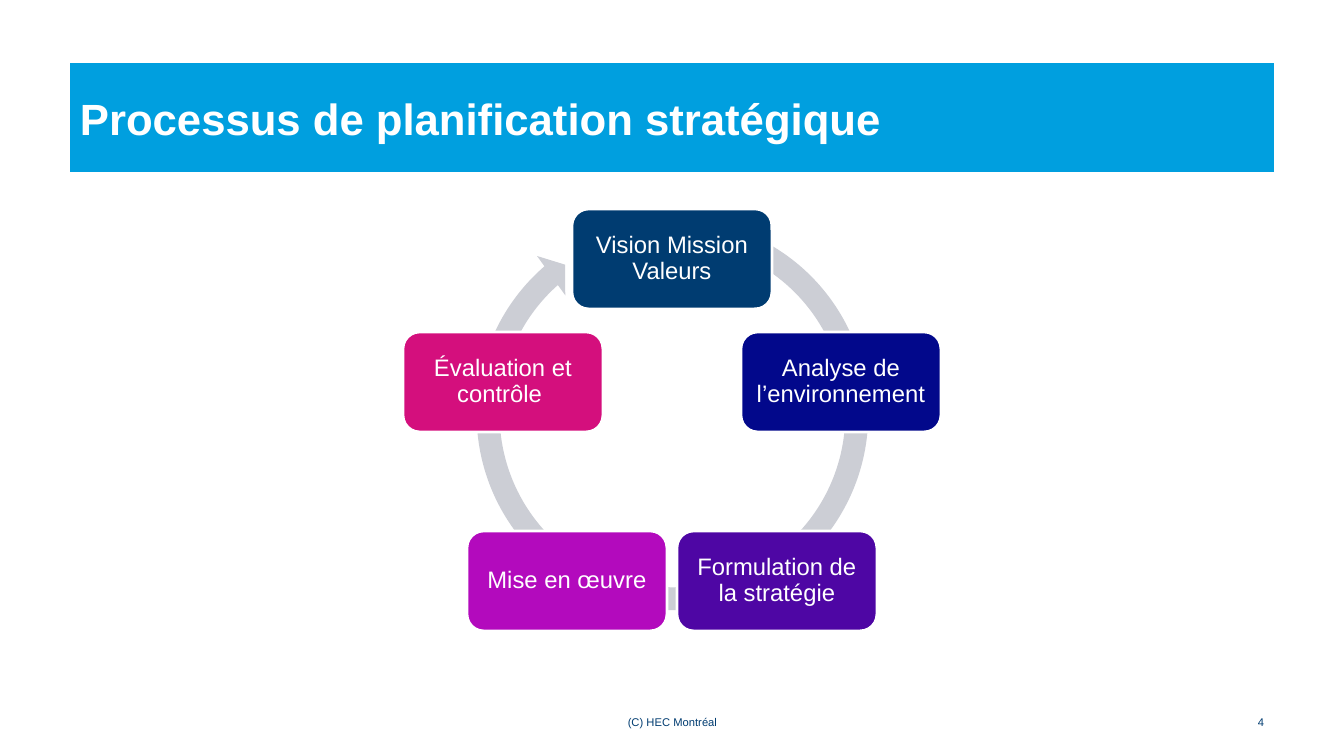
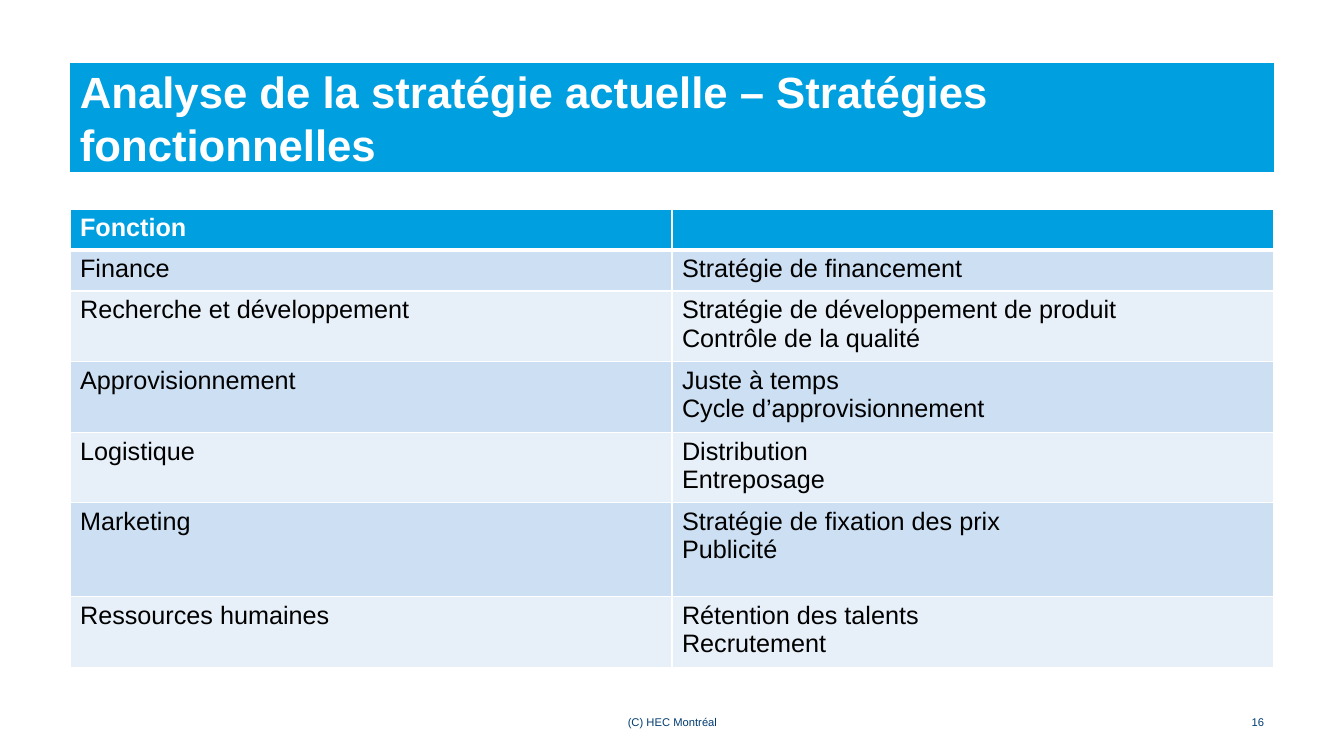
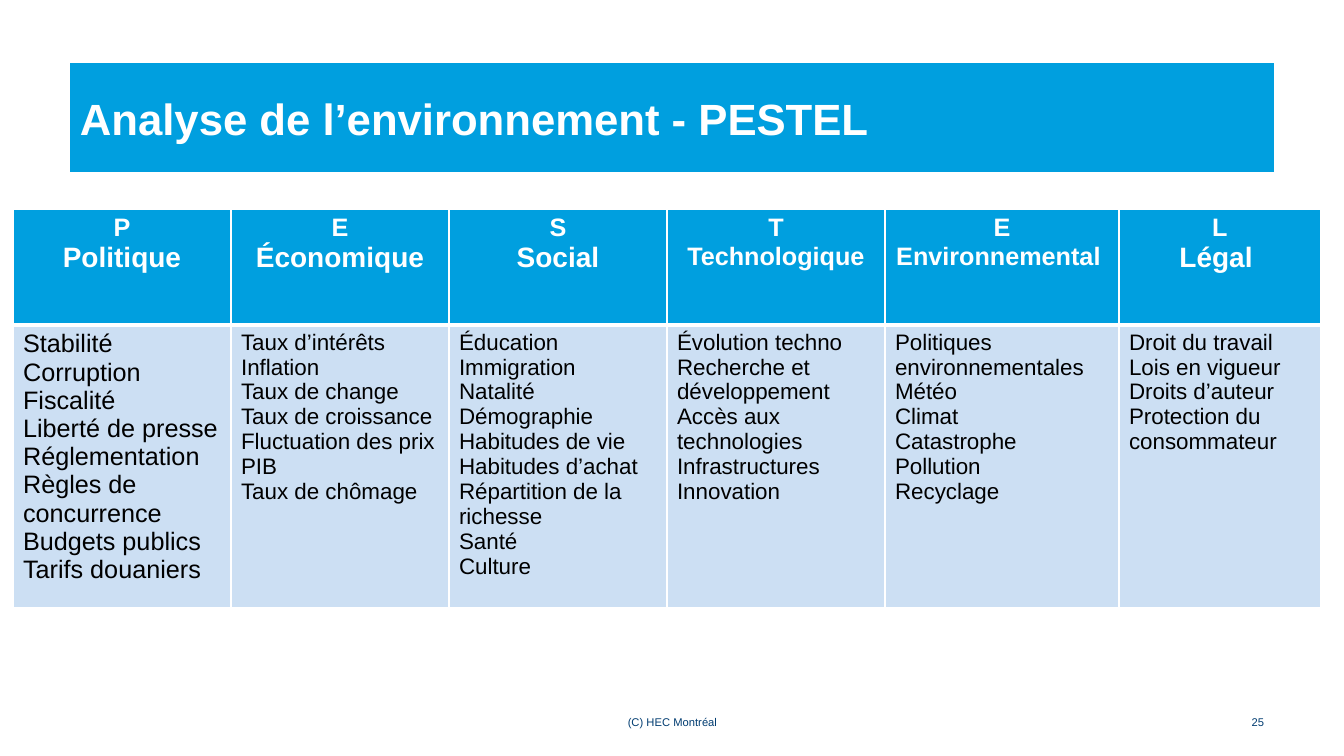
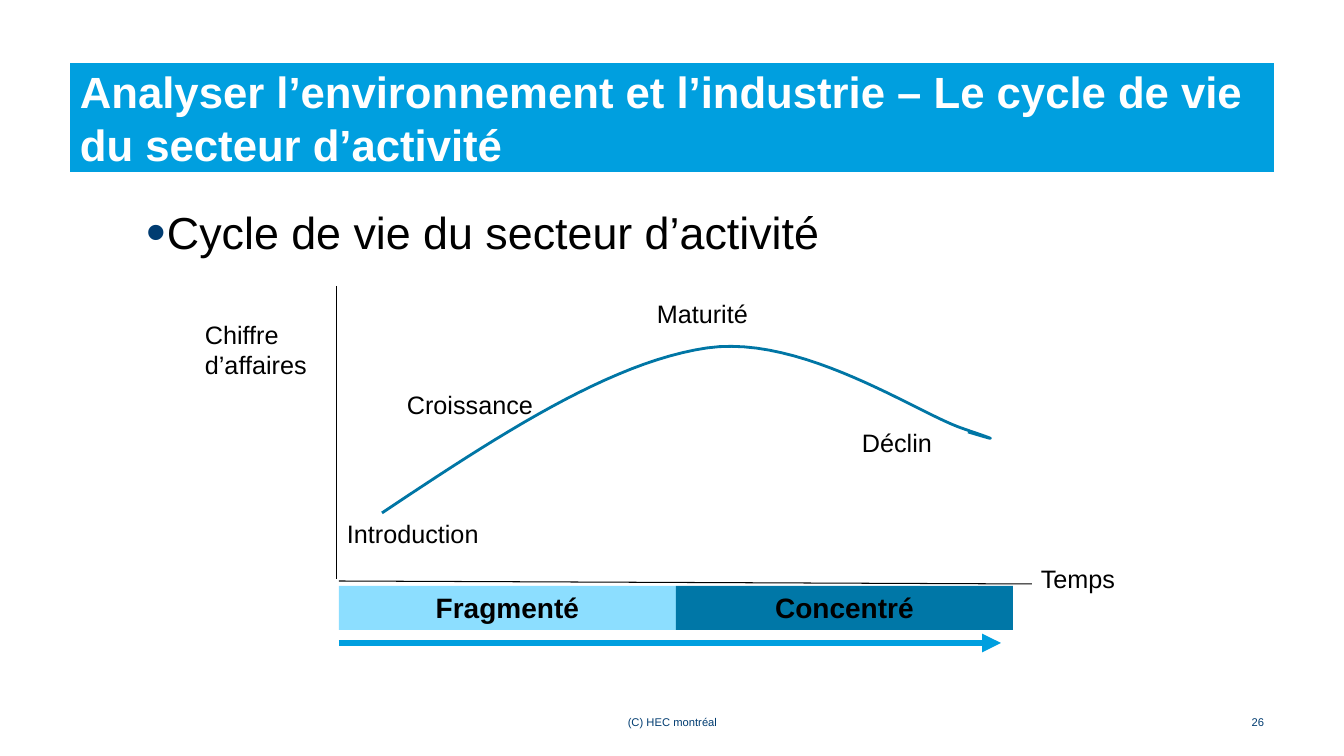
from dataclasses import dataclass
from math import cos, pi, sin
from typing import NamedTuple

from lxml.etree import SubElement
from pptx import Presentation
from pptx.dml.color import RGBColor as RGB
from pptx.enum.shapes import MSO_CONNECTOR as Conn, MSO_SHAPE as Shape
from pptx.enum.text import MSO_ANCHOR as Anchor, PP_ALIGN as Align
from pptx.oxml.ns import qn
from pptx.util import Pt

SCALE = 914400 / 100.8


@dataclass(frozen=True)
class Theme:
    font: str = "Arial"
    white: str = "FFFFFF"
    black: str = "000000"
    navy: str = "003C71"
    sky: str = "009FDF"
    ring: str = "CCCED5"
    band_dark: str = "CCDFF3"
    band_light: str = "E7F0F9"
    curve: str = "0076A5"
    fragmented: str = "8CDEFF"
    concentrated: str = "0077A7"
    title: float = 31.2
    bullet: float = 32
    large: float = 20
    text: float = 18
    step: float = 17
    small: float = 16
    footer: float = 8


T = Theme()


class Box(NamedTuple):
    x: int
    y: int
    w: int
    h: int


class Style(NamedTuple):
    size: float = T.text
    color: str = T.black
    bold: bool = False
    align: Align = Align.LEFT


class Line(NamedTuple):
    text: str
    style: Style = Style()


class Cell(NamedTuple):
    lines: list[Line]
    fill: str


class Step(NamedTuple):
    text: str
    color: str


class Factor(NamedTuple):
    letter: str
    name: str
    width: int
    items: list[str]
    name_size: float = T.large
    item_size: float = T.small


class Label(NamedTuple):
    text: str
    box: Box


class Stroke(NamedTuple):
    start: tuple[int, int]
    end: tuple[int, int]
    color: str = T.black
    width: float = 0.75
    arrow: bool = False


TITLE_BOX = Box(70, 63, 1204, 109)
FOOTER_BOX = Box(460, 713, 425, 18)
NUMBER_BOX = Box(1206, 713, 68, 18)
TITLE = Style(T.title, T.white, True)
FOOTER = Style(T.footer, T.navy, align=Align.CENTER)
NUMBER = FOOTER._replace(align=Align.RIGHT)
STEP = Style(T.step, T.white, align=Align.CENTER)
HEADER = Style(T.text, T.white, True)
PHASE = Style(T.large, T.black, True, Align.CENTER)

STEPS = [
    Step("Vision Mission Valeurs", T.navy),
    Step("Analyse de l’environnement", "02088B"),
    Step("Formulation de la stratégie", "4E06A4"),
    Step("Mise en œuvre", "B30ABD"),
    Step("Évaluation et contrôle ", "D40F7D"),
]
RING_BOX = Box(464, 206, 417, 417)
RING_ADJUSTMENTS = (0.055, 3.307, 137.312, 174.132, 0.058)
STEP_CENTER = (672, 437)
STEP_RADIUS = 178
STEP_SIZE = (200, 100)

FUNCTIONS = {
    "Finance": ["Stratégie de financement"],
    "Recherche et développement": [
        "Stratégie de développement de produit", "Contrôle de la qualité"],
    "Approvisionnement": ["Juste à temps", "Cycle d’approvisionnement"],
    "Logistique": ["Distribution", "Entreposage"],
    "Marketing": ["Stratégie de fixation des prix", "Publicité"],
    "Ressources humaines": ["Rétention des talents", "Recrutement"],
}
FUNCTION_ROWS = [41, 41, 67, 67, 67, 94, 67]

FACTORS = [
    Factor("P", "Politique", 218, [
        "Stabilité", "Corruption", "Fiscalité", "Liberté de presse",
        "Réglementation", "Règles de concurrence", "Budgets publics",
        "Tarifs douaniers"], item_size=T.text),
    Factor("E", "Économique", 218, [
        "Taux d’intérêts", "Inflation", "Taux de change",
        "Taux de croissance", "Fluctuation des prix", "PIB",
        "Taux de chômage"]),
    Factor("S", "Social", 218, [
        "Éducation", "Immigration", "Natalité", "Démographie",
        "Habitudes de vie", "Habitudes d’achat",
        "Répartition de la richesse", "Santé", "Culture"]),
    Factor("T", "Technologique", 218, [
        "Évolution techno", "Recherche et développement",
        "Accès aux technologies", "Infrastructures", "Innovation"],
        name_size=T.text),
    Factor("E", "Environnemental ", 234, [
        "Politiques environnementales", "Météo", "Climat", "Catastrophe",
        "Pollution", "Recyclage"], name_size=T.text),
    Factor("L", "Légal ", 202, [
        "Droit du travail", "Lois en vigueur", "Droits d’auteur",
        "Protection du consommateur"]),
]

LABELS = [
    Label("Chiffre d’affaires", Box(195, 314, 127, 102)),
    Label("Temps", Box(1031, 558, 199, 40)),
    Label("Introduction", Box(337, 513, 278, 40)),
    Label("Croissance", Box(397, 384, 278, 40)),
    Label("Maturité", Box(647, 293, 278, 40)),
    Label("Déclin", Box(852, 422, 278, 40)),
]
STROKES = [
    Stroke((337, 286), (337, 579)),
    Stroke((339, 581), (1032, 584)),
    Stroke((339, 643), (1001, 643), T.sky, 4.5, True),
]
PHASES = [Step("Fragmenté", T.fragmented), Step("Concentré", T.concentrated)]
CURVE = [
    (382, 513), (496, 437), (610, 362), (707, 348), (803, 334),
    (920, 415), (964, 429), (1008, 444), (988, 438), (968, 432),
]


def px(n: float) -> int:
    return round(n * SCALE)


def paint(fill, color: str) -> None:
    fill.solid()
    fill.fore_color.rgb = RGB.from_string(color)


def set_font(p, style: Style) -> None:
    p.alignment = style.align
    f = p.font
    f.name, f.size, f.bold = T.font, Pt(style.size), style.bold
    f.color.rgb = RGB.from_string(style.color)


def write(tf, lines: list[Line]) -> None:
    tf.word_wrap = True
    for i, line in enumerate(lines):
        p = tf.add_paragraph() if i else tf.paragraphs[0]
        p.text = line.text
        set_font(p, line.style)


def add_text(s, box: Box, text: str, style: Style, anchor: Anchor = Anchor.TOP):
    sp = s.shapes.add_textbox(*map(px, box))
    write(sp.text_frame, [Line(text, style)])
    sp.text_frame.vertical_anchor = anchor
    return sp


def add_block(s, kind: Shape, box: Box, color: str):
    sp = s.shapes.add_shape(kind, *map(px, box))
    sp.shadow.inherit = False
    paint(sp.fill, color)
    sp.line.fill.background()
    return sp


def add_stroke(s, stroke: Stroke) -> None:
    cx = s.shapes.add_connector(
        Conn.STRAIGHT, *map(px, stroke.start + stroke.end))
    cx.line.color.rgb = RGB.from_string(stroke.color)
    cx.line.width = Pt(stroke.width)
    if stroke.arrow:
        SubElement(cx.line._get_or_add_ln(), qn("a:tailEnd"), type="triangle")
    SubElement(cx._element.spPr, qn("a:effectLst"))


def add_borders(cell, top: float, bottom: float) -> None:
    tc_pr = cell._tc.get_or_add_tcPr()
    widths = {"a:lnL": 1, "a:lnR": 1, "a:lnT": top, "a:lnB": bottom}
    for i, (tag, width) in enumerate(widths.items()):
        ln = SubElement(tc_pr, qn(tag), w=str(Pt(width)))
        tc_pr.insert(i, ln)
        SubElement(SubElement(ln, qn("a:solidFill")), qn("a:srgbClr"), val=T.white)


def add_grid(s, x: int, y: int, widths: list[int], heights: list[int],
             rows: list[list[Cell]]) -> None:
    box = Box(x, y, sum(widths), sum(heights))
    table = s.shapes.add_table(len(rows), len(widths), *map(px, box)).table
    table.horz_banding = False
    for column, width in zip(table.columns, widths):
        column.width = px(width)
    for i, (row, height) in enumerate(zip(rows, heights)):
        table.rows[i].height = px(height)
        for j, content in enumerate(row):
            cell = table.cell(i, j)
            paint(cell.fill, content.fill)
            write(cell.text_frame, content.lines)
            add_borders(cell, 3 if i == 1 else 1, 3 if i == 0 else 1)


def add_slide(prs, title: str, number: int, footer: str = "(C) HEC Montréal"):
    s = prs.slides.add_slide(prs.slide_layouts[6])
    band = add_block(s, Shape.RECTANGLE, TITLE_BOX, T.sky)
    write(band.text_frame, [Line(title, TITLE)])
    band.text_frame.vertical_anchor = Anchor.MIDDLE
    add_text(s, FOOTER_BOX, footer, FOOTER, Anchor.MIDDLE)
    add_text(s, NUMBER_BOX, str(number), NUMBER, Anchor.MIDDLE)
    return s


def build_process(prs) -> None:
    s = add_slide(prs, "Processus de planification stratégique", 4)
    ring = add_block(s, Shape.CIRCULAR_ARROW, RING_BOX, T.ring)
    for i, value in enumerate(RING_ADJUSTMENTS):
        ring.adjustments[i] = value
    (cx, cy), (w, h) = STEP_CENTER, STEP_SIZE
    for i, step in enumerate(STEPS):
        angle = 2 * pi * i / len(STEPS)
        x = round(cx + STEP_RADIUS * sin(angle) - w / 2)
        y = round(cy - STEP_RADIUS * cos(angle) - h / 2)
        sp = add_block(s, Shape.ROUNDED_RECTANGLE, Box(x, y, w, h), step.color)
        sp.line.color.rgb = RGB.from_string(T.white)
        sp.line.width = Pt(2)
        tf = sp.text_frame
        tf.margin_left = tf.margin_right = tf.margin_top = tf.margin_bottom = px(7)
        write(tf, [Line(step.text, STEP)])
        tf.vertical_anchor = Anchor.MIDDLE
        tf.paragraphs[0].line_spacing = 0.9


def build_functions(prs) -> None:
    s = add_slide(
        prs, "Analyse de la stratégie actuelle – Stratégies fonctionnelles", 16)
    rows = [[Cell([Line("Fonction", HEADER)], T.sky), Cell([], T.sky)]]
    for i, (name, strategies) in enumerate(FUNCTIONS.items()):
        fill = T.band_light if i % 2 else T.band_dark
        rows.append([Cell([Line(name)], fill),
                     Cell([Line(text) for text in strategies], fill)])
    add_grid(s, 70, 209, [602, 602], FUNCTION_ROWS, rows)


def build_pestel(prs) -> None:
    s = add_slide(prs, "Analyse de l’environnement - PESTEL", 25)
    header = HEADER._replace(align=Align.CENTER)
    heads = [Cell([Line(f.letter, header),
                   Line(f.name, header._replace(size=f.name_size))], T.sky)
             for f in FACTORS]
    bodies = [Cell([Line(text, Style(f.item_size)) for text in f.items], T.band_dark)
              for f in FACTORS]
    add_grid(s, 13, 209, [f.width for f in FACTORS], [116, 263], [heads, bodies])


def add_bullet(s, box: Box, text: str) -> None:
    p = add_text(s, box, "", Style()).text_frame.paragraphs[0]
    p.text = text
    p_pr = p._p.get_or_add_pPr()
    for child in list(p_pr):
        p_pr.remove(child)
    p_pr.set("marL", str(px(20)))
    p_pr.set("indent", str(-px(20)))
    SubElement(SubElement(p_pr, qn("a:buClr")), qn("a:srgbClr"), val=T.navy)
    SubElement(p_pr, qn("a:buSzPct"), val="125000")
    SubElement(p_pr, qn("a:buFont"), typeface=T.font)
    SubElement(p_pr, qn("a:buChar"), char="•")
    set_font(p, Style(T.bullet))


def add_curve(s, points: list[tuple[int, int]], steps: int = 24) -> None:
    trace = []
    for k in range(0, len(points) - 1, 3):
        a, b, c, d = points[k:k + 4]
        for t in (n / steps for n in range(1, steps + 1)):
            u = 1 - t
            weights = (u ** 3, 3 * u * u * t, 3 * u * t * t, t ** 3)
            trace.append(tuple(
                px(sum(w * v for w, v in zip(weights, axis)))
                for axis in zip(a, b, c, d)))
    builder = s.shapes.build_freeform(*map(px, points[0]))
    builder.add_line_segments(trace, close=False)
    sp = builder.convert_to_shape()
    sp.shadow.inherit = False
    sp.fill.background()
    sp.line.color.rgb = RGB.from_string(T.curve)
    sp.line.width = Pt(2)


def build_life_cycle(prs) -> None:
    s = add_slide(
        prs,
        "Analyser l’environnement et l’industrie – Le cycle de vie du secteur d’activité",
        26, "(C) HEC montréal")
    add_bullet(s, Box(137, 200, 1109, 444), "Cycle de vie du secteur d’activité")
    for stroke in STROKES:
        add_stroke(s, stroke)
    add_curve(s, CURVE)
    for label in LABELS:
        add_text(s, label.box, label.text, Style())
    for i, phase in enumerate(PHASES):
        sp = add_block(s, Shape.RECTANGLE, Box(339 + 337 * i, 586, 337, 44), phase.color)
        write(sp.text_frame, [Line(phase.text, PHASE)])
        sp.text_frame.vertical_anchor = Anchor.TOP


def main() -> None:
    prs = Presentation()
    prs.slide_width, prs.slide_height = px(1344), px(756)
    for build in (build_process, build_functions, build_pestel, build_life_cycle):
        build(prs)
    prs.save("out.pptx")


if __name__ == "__main__":
    main()
